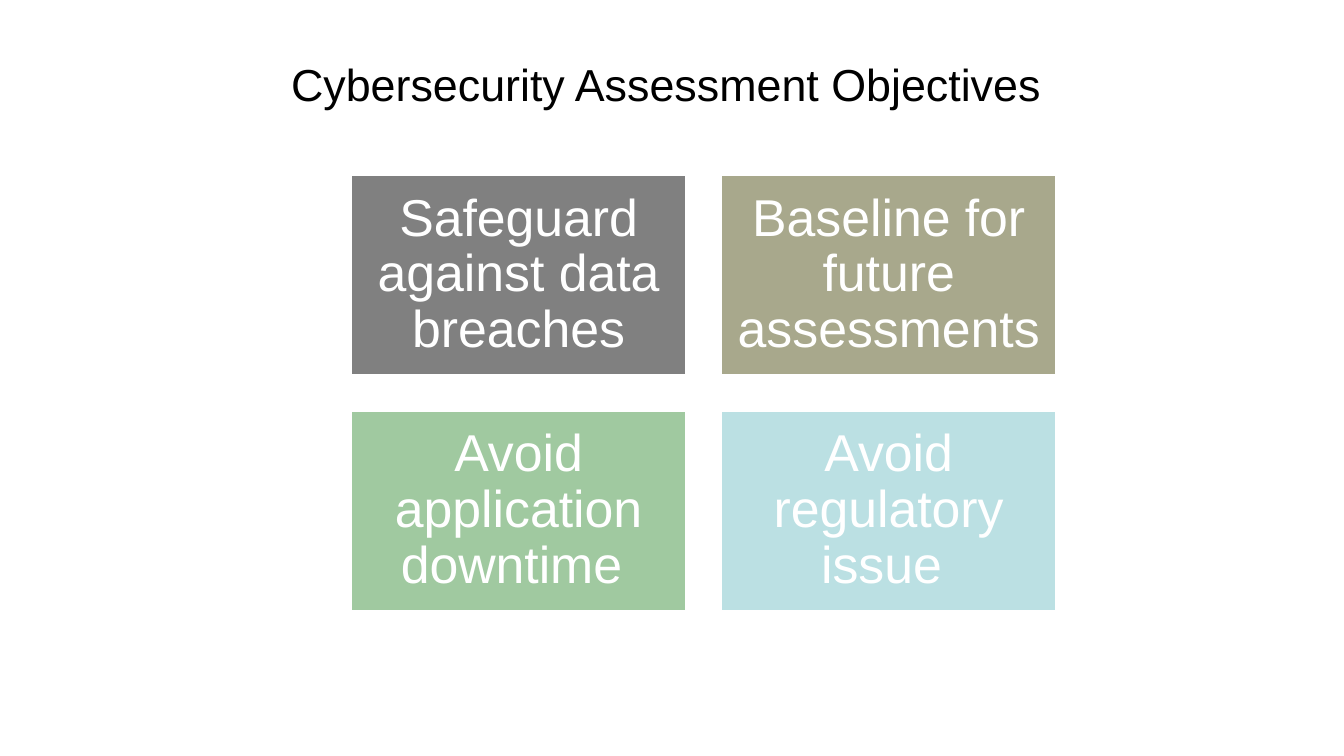
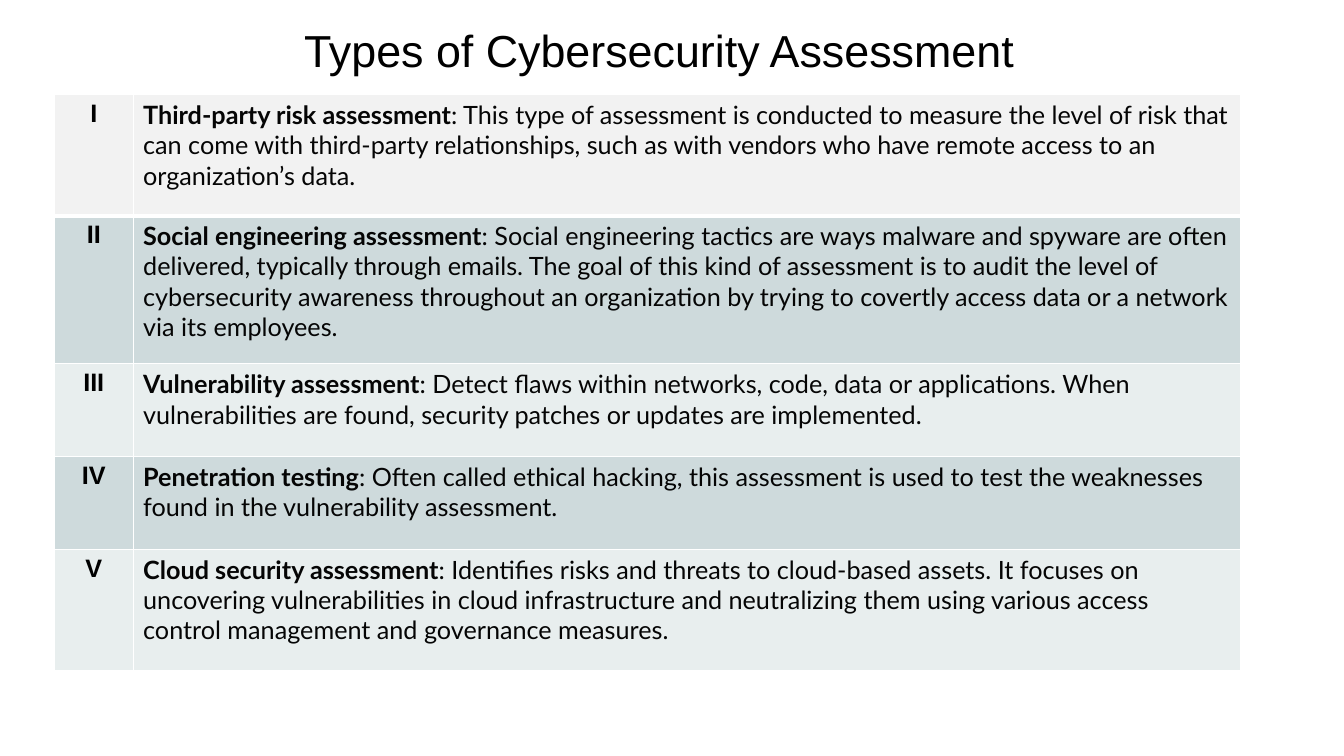
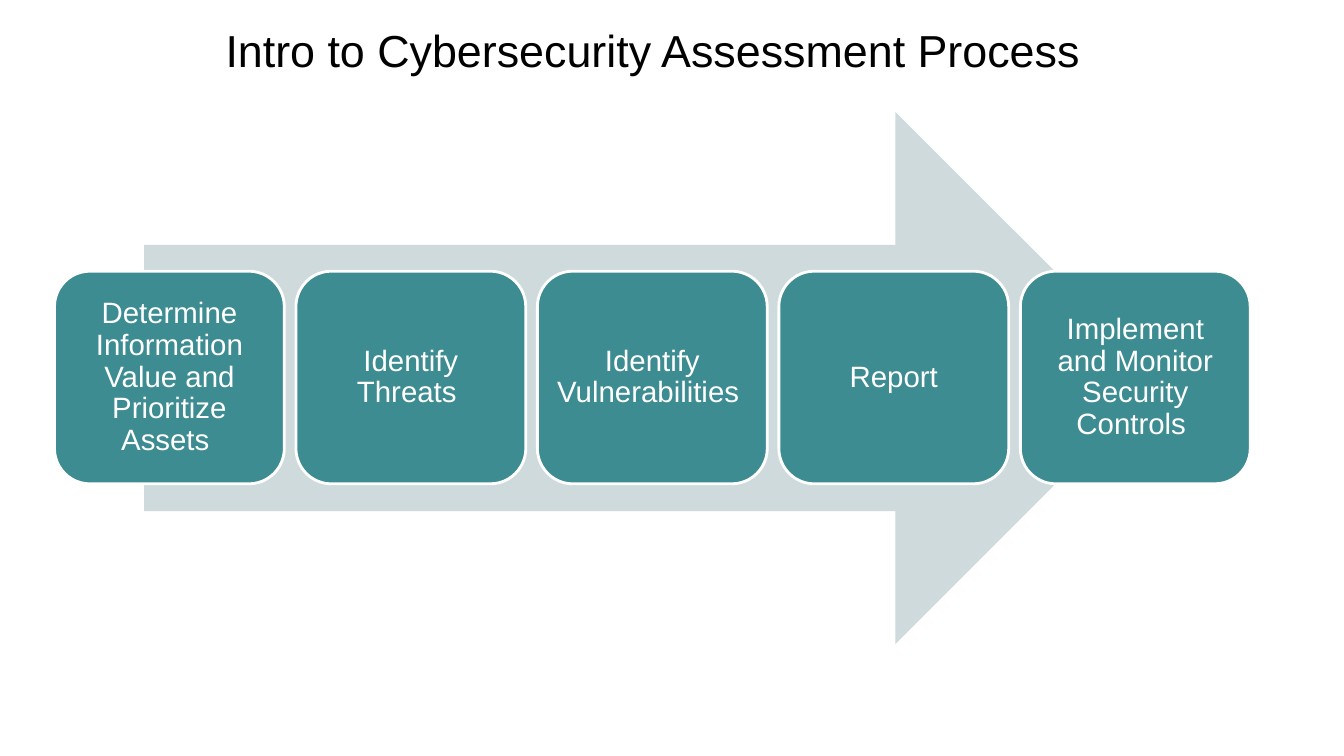
"""Build three slides on cybersecurity assessment: goals, types and process."""
from lxml import etree
from pptx import Presentation
from pptx.dml.color import RGBColor
from pptx.enum import shapes, text
from pptx.oxml import ns
from pptx.util import Inches, Pt


class Theme:
    font, prose = "Arial", "Lato"
    black, ink, white = "000000", "050505", "FFFFFF"
    teal, mist, pale, head = "3C8C92", "CEDADC", "E8EEEE", "F2F2F2"
    tiles = ["808080", "A8A88C", "A0C9A0", "BBE0E3"]
    title, tile, step, cell = 32, 37, 21, 18


def write(frame, *runs, size, color, font=Theme.font, align="CENTER",
          bolds=(False,), space=None, inset=None):
    frame.word_wrap = True
    if inset is not None:
        frame.margin_left = frame.margin_right = Inches(inset)
        frame.margin_top = frame.margin_bottom = Inches(inset)
    para = frame.paragraphs[0]
    para.alignment = getattr(text.PP_ALIGN, align)
    if space:
        para.line_spacing = space
    for words, bold in zip(runs, bolds):
        run = para.add_run()
        run.text = words
        run.font.size, run.font.name, run.font.bold = Pt(size), font, bold
        run.font.color.rgb = RGBColor.from_string(color)


def draw(slide, kind, box, fill, line=None):
    shape = slide.shapes.add_shape(kind, *map(Inches, box))
    shape.shadow.inherit = False
    shape.fill.solid()
    shape.fill.fore_color.rgb = RGBColor.from_string(fill)
    if line:
        shape.line.color.rgb = RGBColor.from_string(line)
        shape.line.width = Pt(2)
    else:
        shape.line.fill.background()
    shape.text_frame.vertical_anchor = text.MSO_ANCHOR.MIDDLE
    return shape


deck = Presentation()
deck.slide_width, deck.slide_height = Inches(13.33), Inches(7.5)
kinds = shapes.MSO_SHAPE

heads = [
    ("Cybersecurity Assessment Objectives ", 0.67, 0.39),
    ("Types of Cybersecurity Assessment", 0.54, 0.06),
    ("Intro to Cybersecurity Assessment Process ", 0.54, 0.06),
]
slides = []
for words, left, top in heads:
    slide = deck.slides.add_slide(deck.slide_layouts[5])
    title = slide.shapes.title
    title.left, title.top = Inches(left), Inches(top)
    title.width, title.height = Inches(12), Inches(0.87)
    title.text_frame.auto_size = text.MSO_AUTO_SIZE.NONE
    title.text_frame.vertical_anchor = text.MSO_ANCHOR.MIDDLE
    write(title.text_frame, words, size=Theme.title, color=Theme.black)
    slides.append(slide)
goals, types, process = slides

aims = [
    "Safeguard against data breaches",
    "Baseline for future assessments ",
    "Avoid application downtime ",
    "Avoid regulatory issue ",
]
wide, high, gap = 3.33, 2, 0.34
for i, (aim, fill) in enumerate(zip(aims, Theme.tiles)):
    row, col = divmod(i, 2)
    box = (3.48 + col * (wide + gap), 1.73 + row * (high + gap), wide, high)
    tile = draw(goals, kinds.RECTANGLE, box, fill, Theme.white)
    write(tile.text_frame, aim, size=Theme.tile, color=Theme.white,
          space=0.9, inset=0.15)

rows = [
    ("I", 1.2, "Third-party risk assessment",
     ": This type of assessment is conducted to measure the level of risk that "
     "can come with third-party relationships, such as with vendors who have "
     "remote access to an organization’s data."),
    ("II", 1.47, "Social engineering assessment",
     ": Social engineering tactics are ways malware and spyware are often "
     "delivered, typically through emails. The goal of this kind of assessment "
     "is to audit the level of cybersecurity awareness throughout an "
     "organization by trying to covertly access data or a network via its "
     "employees."),
    ("III", 0.92, "Vulnerability assessment",
     ": Detect flaws within networks, code, data or applications. When "
     "vulnerabilities are found, security patches or updates are implemented."),
    ("IV", 0.92, "Penetration testing",
     ": Often called ethical hacking, this assessment is used to test the "
     "weaknesses found in the vulnerability assessment."),
    ("V", 1.2, "Cloud security assessment",
     ": Identifies risks and threats to cloud-based assets. It focuses on "
     "uncovering vulnerabilities in cloud infrastructure and neutralizing them "
     "using various access control management and governance measures."),
]
grid = types.shapes.add_table(len(rows), 2, Inches(0.54), Inches(0.94),
                              Inches(11.76), Inches(5.71)).table
grid.first_row = grid.horz_banding = False
grid.columns[0].width, grid.columns[1].width = Inches(0.78), Inches(10.98)
for i, (mark, tall, name, gist) in enumerate(rows):
    grid.rows[i].height = Inches(tall)
    fill = Theme.head if i == 0 else (Theme.pale, Theme.mist)[i % 2]
    first, last = grid.cell(i, 0), grid.cell(i, 1)
    write(first.text_frame, mark, size=Theme.cell, color=Theme.black,
          bolds=[True])
    write(last.text_frame, name, gist, size=Theme.cell, color=Theme.ink,
          font=Theme.prose, align="LEFT", bolds=[True, False])
    for cell in (first, last):
        props = cell._tc.get_or_add_tcPr()
        for side in "LRTB":
            thick = (i, side) in [(0, "B"), (1, "T")]
            edge = etree.SubElement(props, ns.qn("a:ln" + side),
                                    w=str(Pt(3 if thick else 1)))
            paint = etree.SubElement(edge, ns.qn("a:solidFill"))
            etree.SubElement(paint, ns.qn("a:srgbClr"), val=Theme.white)
        cell.fill.solid()
        cell.fill.fore_color.rgb = RGBColor.from_string(fill)

draw(process, kinds.RIGHT_ARROW, (1.43, 1.11, 10.09, 5.28), Theme.mist)
steps = [
    "Determine Information Value and Prioritize Assets ",
    "Identify Threats ",
    "Identify Vulnerabilities ",
    "Report",
    "Implement and Monitor Security Controls ",
]
pitch = (10.12 - 0.54) / (len(steps) - 1)
for i, step in enumerate(steps):
    card = draw(process, kinds.ROUNDED_RECTANGLE,
                (0.54 + i * pitch, 2.69, 2.28, 2.11), Theme.teal, Theme.white)
    write(card.text_frame, step, size=Theme.step, color=Theme.white,
          space=0.9, inset=0.09)

deck.save("out.pptx")
